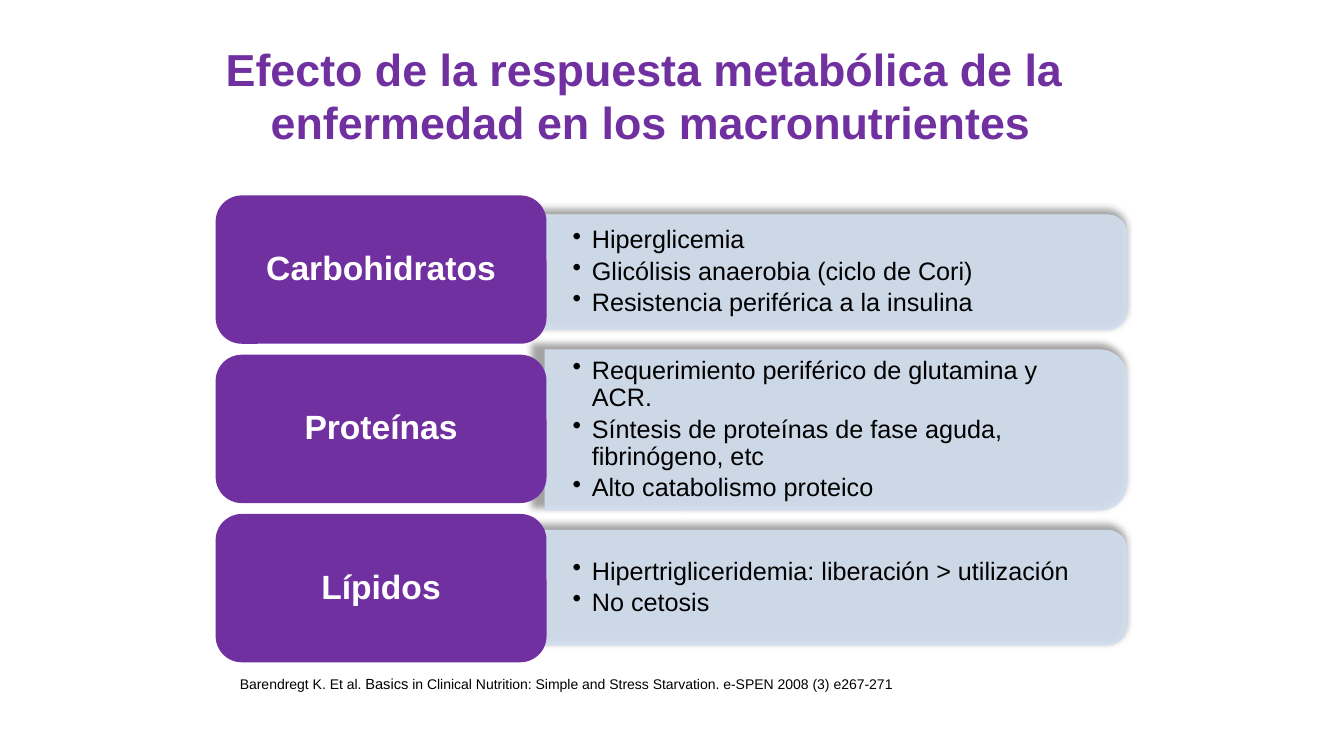
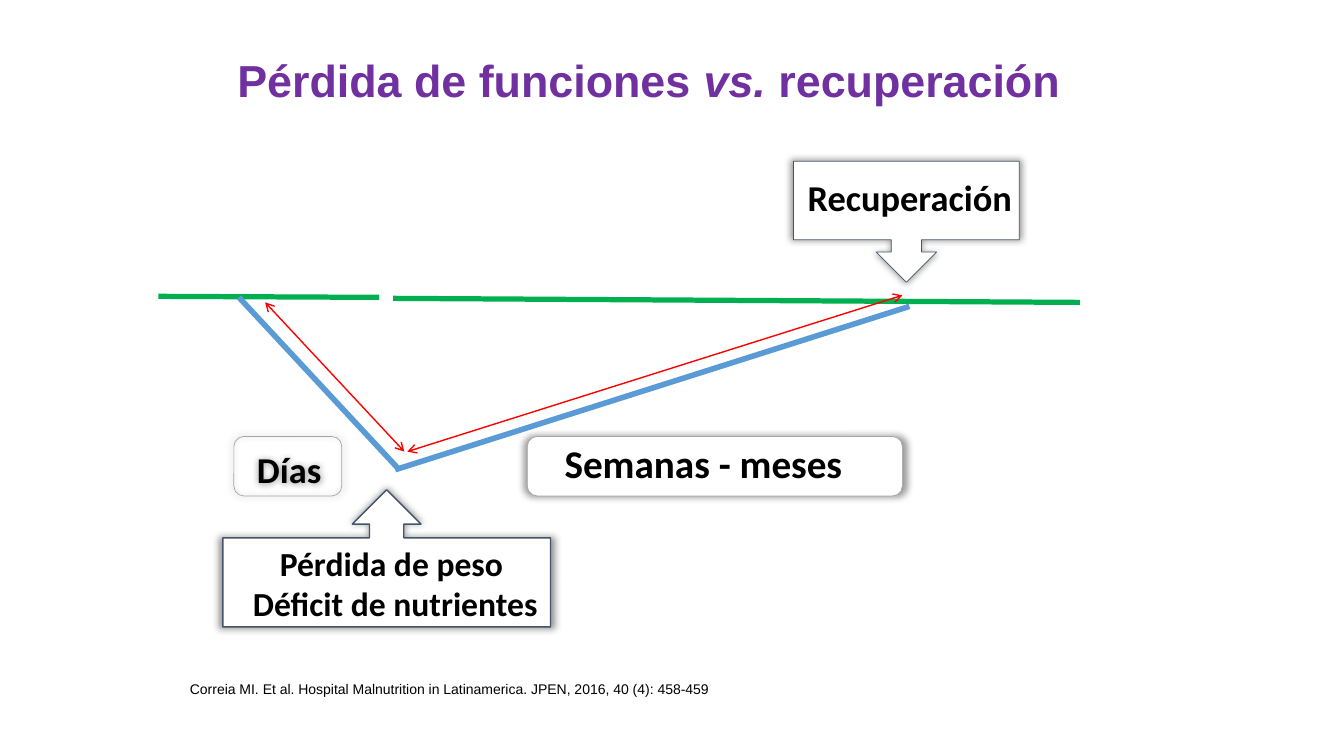
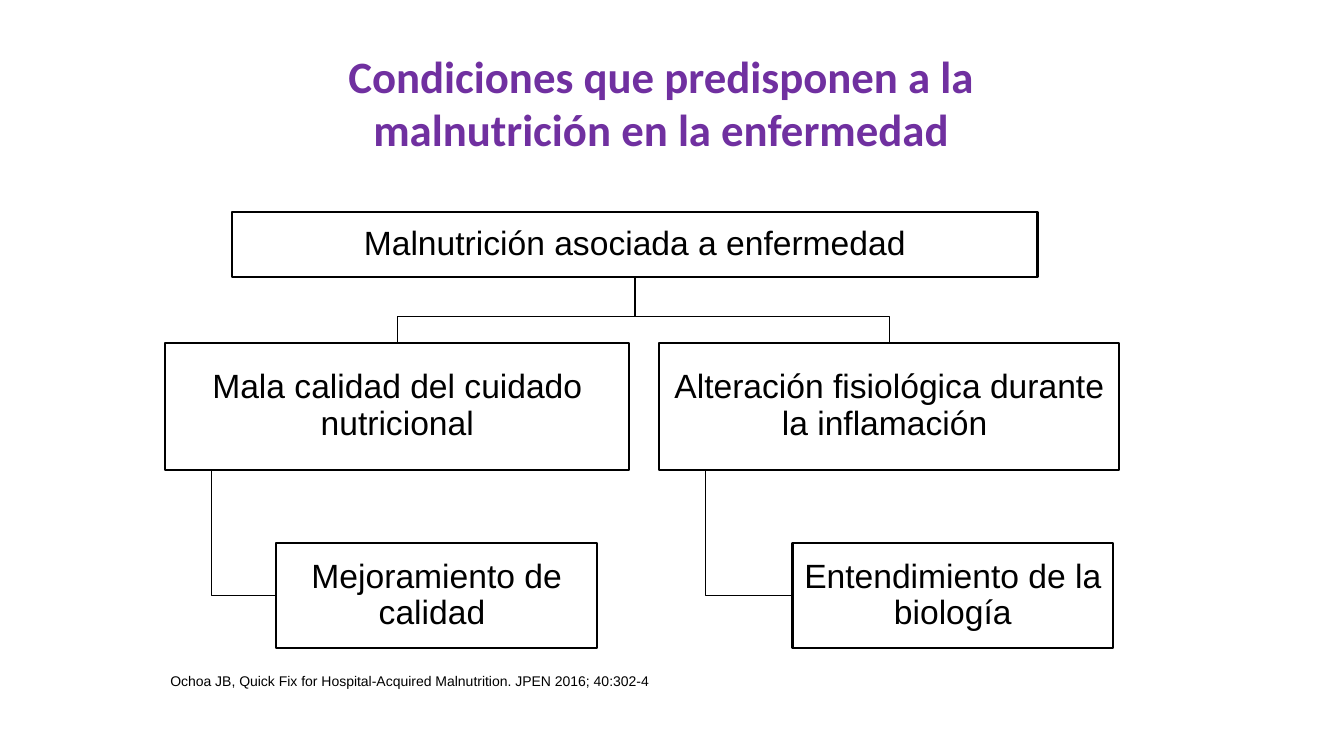
from lxml import etree
from pptx import Presentation
from pptx.dml.color import RGBColor
from pptx.enum.shapes import MSO_CONNECTOR, MSO_SHAPE
from pptx.enum.text import MSO_ANCHOR, MSO_AUTO_SIZE, PP_ALIGN
from pptx.oxml.ns import qn
from pptx.util import Inches, Pt

LEFT, MID = PP_ALIGN.LEFT, PP_ALIGN.CENTER
TOP, CENTER = MSO_ANCHOR.TOP, MSO_ANCHOR.MIDDLE
NO_FIT = MSO_AUTO_SIZE.NONE
LINE = MSO_CONNECTOR.STRAIGHT
RECT = MSO_SHAPE.RECTANGLE
ROUND = MSO_SHAPE.ROUNDED_RECTANGLE
HALF = MSO_SHAPE.ROUND_2_SAME_RECTANGLE
UP = MSO_SHAPE.UP_ARROW_CALLOUT
DOWN = MSO_SHAPE.DOWN_ARROW_CALLOUT

COLORS = {
    "purple": "7030A0", "pale": "D2DEEF", "green": "00B050",
    "blue": "5B9BD5", "red": "FF0000", "slate": "44546A",
    "gray": "A5A5A5", "black": "000000", "white": "FFFFFF",
}
PAD = (0.1, 0.05, 0.1, 0.05)


def color(name):
    return RGBColor.from_string(COLORS[name])


def box(x, y, w, h):
    return [Inches(v) for v in (x, y, w, h)]


def bullet(para):
    props = para._p.get_or_add_pPr()
    props.set("marL", str(Inches(0.19)))
    props.set("indent", str(-Inches(0.19)))
    etree.SubElement(props, qn("a:buChar")).set("char", "•")


def write(frame, paras, size=24, font="Arial", ink="black", bold=False,
          align=LEFT, anchor=TOP, pad=PAD, space=1.0, after=0, dots=False):
    frame.word_wrap = True
    frame.auto_size = NO_FIT
    frame.vertical_anchor = anchor
    (frame.margin_left, frame.margin_top,
     frame.margin_right, frame.margin_bottom) = [Inches(v) for v in pad]
    for i, runs in enumerate(paras):
        para = frame.paragraphs[0] if i == 0 else frame.add_paragraph()
        para.alignment = align
        para.line_spacing = space
        para.space_before = Pt(0)
        para.space_after = Pt(after)
        if dots:
            bullet(para)
        for part in [(runs, {})] if isinstance(runs, str) else runs:
            run = para.add_run()
            run.text, extra = part
            run.font.name = font
            run.font.size = Pt(extra.get("size", size))
            run.font.bold = bold
            run.font.italic = extra.get("italic", False)
            run.font.color.rgb = color(ink)


def label(slide, area, paras, **style):
    write(slide.shapes.add_textbox(*box(*area)).text_frame, paras, **style)


def start(deck, area, paras, font="Arial"):
    slide = deck.slides.add_slide(deck.slide_layouts[5])
    title = slide.shapes.title
    title.left, title.top, title.width, title.height = box(*area)
    write(title.text_frame, paras, size=32, font=font, ink="purple",
          bold=True, align=MID)
    return slide


def cite(slide, area, runs, align=LEFT):
    label(slide, area, [runs], size=10, align=align)


def shape(slide, kind, area, fill=None, edge="black", width=1, alpha=None,
          glow=False, turn=0):
    item = slide.shapes.add_shape(kind, *box(*area))
    item.rotation = turn
    if fill:
        item.fill.solid()
        item.fill.fore_color.rgb = color(fill)
    else:
        item.fill.background()
    item.line.color.rgb = color(edge)
    item.line.width = Pt(width)
    item.shadow.inherit = False
    props = item._element.spPr
    if alpha:
        for tone in props.iter(qn("a:srgbClr")):
            etree.SubElement(tone, qn("a:alpha")).set("val", str(alpha * 1000))
    if glow:
        shade = etree.SubElement(
            props.find(qn("a:effectLst")), qn("a:outerShdw"),
            blurRad=str(Pt(5)), sx="102000", sy="102000", algn="ctr",
            rotWithShape="0")
        tone = etree.SubElement(shade, qn("a:srgbClr"), val=COLORS["black"])
        etree.SubElement(tone, qn("a:alpha"), val="40000")
    return item


def line(slide, begin, end, ink, width, arrows=False):
    link = slide.shapes.add_connector(
        LINE, *[Inches(v) for v in (*begin, *end)])
    link.line.color.rgb = color(ink)
    link.line.width = Pt(width)
    etree.SubElement(link._element.spPr, qn("a:effectLst"))
    if arrows:
        edge = link.line._get_or_add_ln()
        for tip in ("a:headEnd", "a:tailEnd"):
            etree.SubElement(edge, qn(tip), type="arrow")


def elbow(slide, *points):
    first, *rest = [(Inches(x), Inches(y)) for x, y in points]
    form = slide.shapes.build_freeform(*first)
    form.add_line_segments(rest, close=False)
    route = form.convert_to_shape()
    route.fill.background()
    route.line.color.rgb = color("black")
    route.line.width = Pt(1)
    route.shadow.inherit = False


def node(slide, area, text):
    item = shape(slide, RECT, area, width=1.5)
    write(item.text_frame, [text], align=MID, anchor=CENTER,
          pad=(0.02,) * 4, space=0.9)


def row(slide, index, name, tall, points):
    mid, wide = 2.7 + 1.565 * index, 5.77
    shape(slide, HALF, (8.29 - tall / 2, mid - wide / 2, tall, wide),
          fill="pale", edge="pale", width=0.5, alpha=90, glow=True, turn=90)
    label(slide, (5.41, mid - tall / 2, 5.71, tall), points, size=18,
          anchor=CENTER, pad=(0.27, 0.05, 0.27, 0.05), space=0.9, after=3,
          dots=True)
    tag = shape(slide, ROUND, (2.16, 1.96 + 1.58 * index, 3.24, 1.43),
                fill="purple", edge="purple", width=3)
    write(tag.text_frame, [name], ink="white", bold=True, align=MID,
          anchor=CENTER, space=0.9)


def effects(deck):
    slide = start(deck, (1.74, 0.36, 9.43, 1.18), [
        "Efecto de la respuesta metabólica de la ",
        "enfermedad en los macronutrientes"])
    rows = [
        ("Carbohidratos", 1.14, [
            "Hiperglicemia",
            "Glicólisis anaerobia (ciclo de Cori)",
            "Resistencia periférica a la insulina"]),
        ("Proteínas", 1.59, [
            "Requerimiento periférico de glutamina y ACR.",
            "Síntesis de proteínas de fase aguda, fibrinógeno, etc",
            "Alto catabolismo proteico"]),
        ("Lípidos", 1.14, [
            "Hipertrigliceridemia: liberación > utilización",
            "No cetosis"]),
    ]
    for index, data in enumerate(rows):
        row(slide, index, *data)
    cite(slide, (2.28, 6.65, 7.95, 0.29), [
        ("Barendregt K. Et al. ", {}),
        ("Basics", {"size": 10.5}),
        (" in Clinical Nutrition: Simple and Stress Starvation. "
         "e-SPEN 2008 (3) e267-271", {})])


def losses(deck):
    slide = start(deck, (0, 0.47, 12.87, 0.64), [[
        ("Pérdida de funciones ", {}),
        ("vs. ", {"italic": True}),
        ("recuperación", {})]])
    for begin, end in [((1.57, 2.94), (3.76, 2.95)),
                       ((3.9, 2.96), (10.71, 3))]:
        line(slide, begin, end, "green", 3.75)
    for begin, end in [((2.37, 2.95), (3.96, 4.66)),
                       ((3.92, 4.66), (9.02, 3.04))]:
        line(slide, begin, end, "blue", 4)
    for begin, end in [((2.63, 3), (4.01, 4.48)),
                       ((4.04, 4.48), (8.95, 2.93))]:
        line(slide, begin, end, "red", 1, arrows=True)
    notes = [
        (ROUND, (5.23, 4.33, 3.72, 0.59), "white", "gray", 0.5,
         ["Semanas - meses"], 28, LEFT, (0.34, 0, 0, 0)),
        (ROUND, (2.32, 4.33, 1.07, 0.59), None, "gray", 0.5,
         ["Días"], 26, LEFT, (0.2, 0.08, 0, 0)),
        (UP, (2.21, 4.86, 3.25, 1.36), "white", "slate", 1,
         ["Pérdida de peso ", "Déficit de nutrientes"], 24, MID,
         (0.17, 0.05, 0, 0)),
        (DOWN, (7.87, 1.6, 2.24, 1.2), "white", "slate", 0.5,
         ["Recuperación"], 26, LEFT, (0.14, 0.14, 0, 0)),
    ]
    for kind, area, fill, edge, width, paras, size, align, pad in notes:
        item = shape(slide, kind, area, fill, edge, width, glow=True)
        write(item.text_frame, paras, size=size, font="Calibri", bold=True,
              align=align, pad=pad)
    cite(slide, (1.37, 6.7, 6.17, 0.27),
         "Correia MI. Et al. Hospital Malnutrition in Latinamerica. "
         "JPEN, 2016, 40 (4): 458-459", align=MID)


def causes(deck):
    slide = start(deck, (3.05, 0.43, 7.02, 1.18), [
        "Condiciones que predisponen a la malnutrición en la enfermedad"],
        font="Calibri")
    hub, base, fork, top, low, leaf = 6.3, 2.75, 3.14, 3.4, 4.66, 5.39
    node(slide, (2.3, 2.1, 7.99, 0.65), "Malnutrición asociada a enfermedad")
    pairs = [
        (1.64, 4.6, "Mala calidad del cuidado nutricional",
         2.74, "Mejoramiento de calidad "),
        (6.54, 4.56, "Alteración fisiológica durante la inflamación ",
         7.86, "Entendimiento de la biología"),
    ]
    for left, wide, cause, inner, result in pairs:
        mid, stem, turn = left + wide / 2, left + wide / 10, leaf + 0.52
        elbow(slide, (hub, base), (hub, fork), (mid, fork), (mid, top))
        elbow(slide, (stem, low), (stem, turn), (inner, turn))
        node(slide, (left, top, wide, low - top), cause)
        node(slide, (inner, leaf, 3.18, 1.04), result)
    cite(slide, (1.59, 6.62, 7.58, 0.27),
         "Ochoa JB, Quick Fix for Hospital-Acquired Malnutrition. "
         "JPEN 2016; 40:302-4")


def main():
    deck = Presentation()
    deck.slide_width, deck.slide_height = Inches(13.33), Inches(7.5)
    effects(deck)
    losses(deck)
    causes(deck)
    deck.save("out.pptx")


if __name__ == "__main__":
    main()
